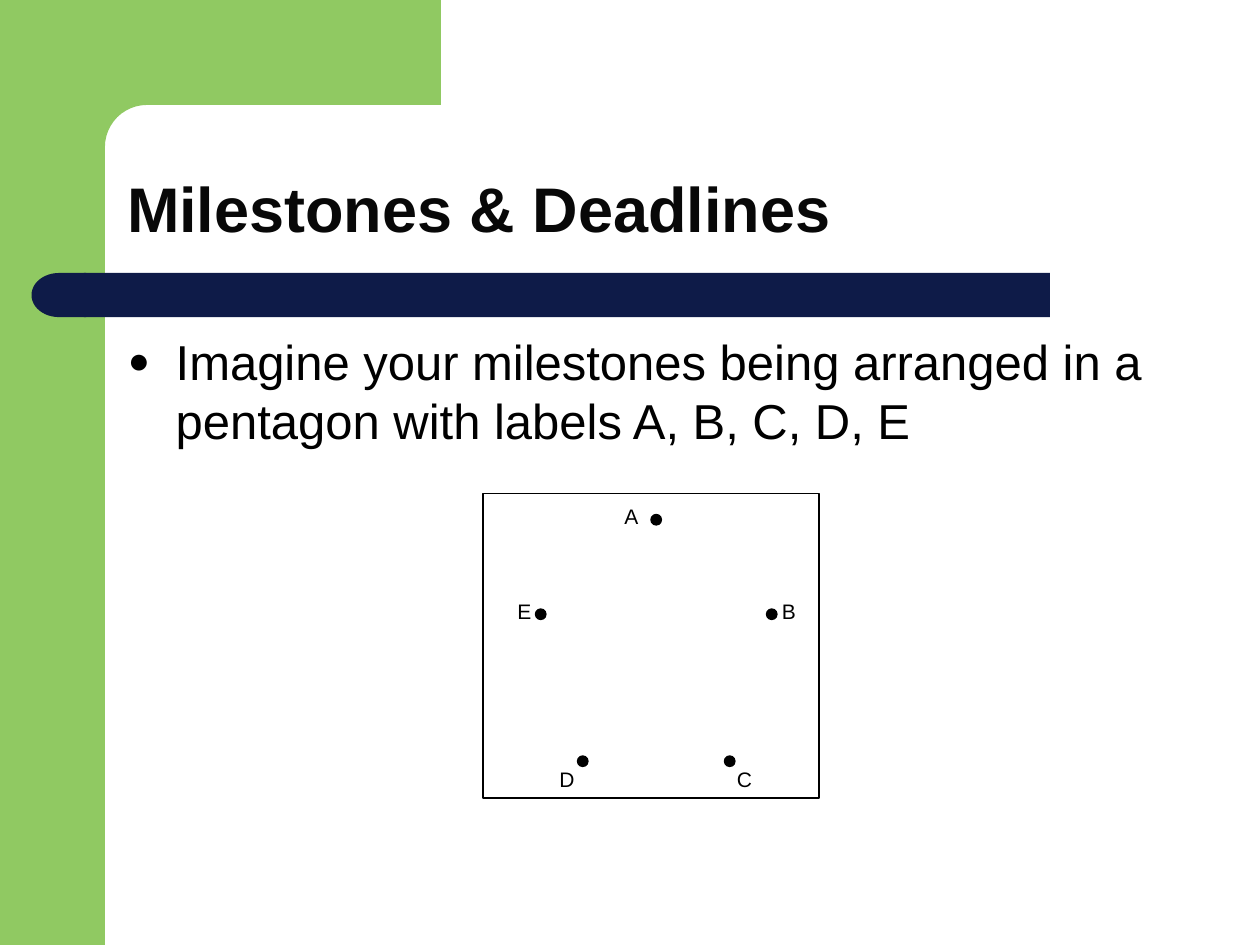
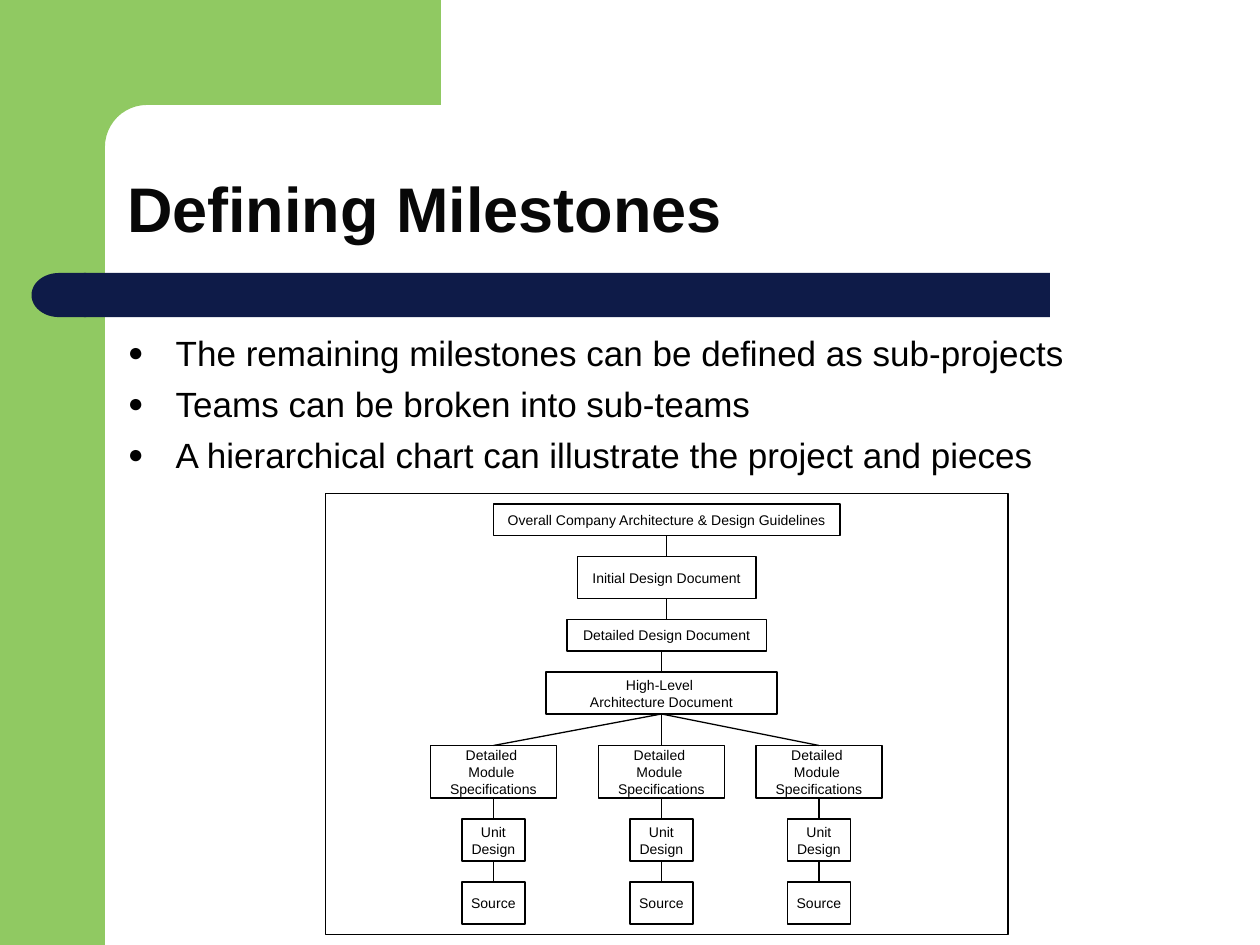
from math import cos, pi, sin

from lxml.etree import SubElement
from pptx import Presentation
from pptx.dml.color import RGBColor
from pptx.enum.shapes import MSO_CONNECTOR, MSO_SHAPE
from pptx.enum.text import MSO_ANCHOR, PP_ALIGN
from pptx.oxml.ns import qn
from pptx.util import Inches, Pt

COLORS = {"green": "90C962", "navy": "0E1B48", "title": "080808", "ink": "000000"}
FONT = "Arial"
COLUMNS, ROWS = 120, 90
TOP, BOTTOM = 0, 2


class Board:
    def __init__(self):
        self.deck = Presentation()
        self.deck.slide_width = Inches(10)
        self.deck.slide_height = Inches(7.5)
        self.slide = None

    def x(self, columns):
        return round(self.deck.slide_width * columns / COLUMNS)

    def y(self, rows):
        return round(self.deck.slide_height * rows / ROWS)

    def area(self, left, top, width, height):
        return self.x(left), self.y(top), self.x(width), self.y(height)

    def color(self, name):
        return RGBColor.from_string(COLORS[name])

    def page(self, title):
        self.slide = self.deck.slides.add_slide(self.deck.slide_layouts[5])
        self.bands()
        holder = self.slide.shapes.title
        holder.left, holder.top, holder.width, holder.height = self.area(10.9, 10.9, 102.1, 13.1)
        frame = holder.text_frame
        frame.word_wrap = True
        frame.vertical_anchor = MSO_ANCHOR.BOTTOM
        para = frame.paragraphs[0]
        para.alignment = PP_ALIGN.LEFT
        para.line_spacing = 0.9
        self.add_text(para, title, 36, "title", bold=True)

    def bands(self):
        self.shape(MSO_SHAPE.RECTANGLE, (0, 0, 10, ROWS), fill="green")
        radius, steps = 4, 12
        angles = [pi / 2 * step / steps for step in range(steps + 1)]
        corner = [(14 - radius * sin(angle), 14 - radius * cos(angle)) for angle in angles]
        outline = [(42, 10), *corner, (10, 15.4), (6, 15.4), (6, 0)]
        builder = self.slide.shapes.build_freeform(self.x(42), 0)
        builder.add_line_segments([(self.x(column), self.y(row)) for column, row in outline])
        self.paint(builder.convert_to_shape(), "green")
        bar = self.shape(MSO_SHAPE.ROUNDED_RECTANGLE, (8, 26, 92, 4.2), fill="navy")
        bar.adjustments[0] = 0
        cap = self.shape(MSO_SHAPE.FLOWCHART_DELAY, (3, 26, 5.2, 4.2), fill="navy")
        cap._element.spPr.find(qn("a:xfrm")).set("flipH", "1")

    def paint(self, shape, fill=None, line=None):
        shape.shadow.inherit = False
        if fill:
            shape.fill.solid()
            shape.fill.fore_color.rgb = self.color(fill)
        else:
            shape.fill.background()
        if line:
            shape.line.color.rgb = self.color(line)
            shape.line.width = Pt(0.75)
        else:
            shape.line.fill.background()

    def shape(self, kind, cells, fill=None, line=None):
        shape = self.slide.shapes.add_shape(kind, *self.area(*cells))
        self.paint(shape, fill, line)
        return shape

    def frame(self, *cells):
        return self.shape(MSO_SHAPE.RECTANGLE, cells, line="ink")

    def add_text(self, para, text, size, color="ink", bold=False):
        for index, line in enumerate(text.split("\n")):
            if index:
                para.add_line_break()
            span = para.add_run()
            span.text = line
            span.font.name = FONT
            span.font.size = Pt(size)
            span.font.bold = bold
            span.font.color.rgb = self.color(color)

    def bullets(self, lines, size, gap, height):
        box = self.slide.shapes.add_textbox(*self.area(11, 31, 101, height))
        frame = box.text_frame
        frame.word_wrap = True
        for index, line in enumerate(lines):
            para = frame.add_paragraph() if index else frame.paragraphs[0]
            para.space_before = Pt(gap if index else 0)
            props = para._p.get_or_add_pPr()
            props.set("marL", str(Inches(0.38)))
            props.set("indent", str(-Inches(0.38)))
            tint = SubElement(props, qn("a:buClr"))
            SubElement(tint, qn("a:srgbClr")).set("val", COLORS["ink"])
            SubElement(props, qn("a:buSzPct")).set("val", "75000")
            SubElement(props, qn("a:buFont")).set("typeface", FONT)
            SubElement(props, qn("a:buChar")).set("char", "●")
            self.add_text(para, line, size)

    def label(self, text, left, top):
        box = self.slide.shapes.add_textbox(*self.area(left, top, 3.8, 3.6))
        box.text_frame.word_wrap = False
        self.add_text(box.text_frame.paragraphs[0], text, 12)

    def dot(self, left, top):
        self.shape(MSO_SHAPE.FLOWCHART_CONNECTOR, (left, top, 1, 1), fill="ink", line="ink")

    def node(self, text, *cells):
        box = self.frame(*cells)
        frame = box.text_frame
        frame.word_wrap = False
        frame.vertical_anchor = MSO_ANCHOR.MIDDLE
        para = frame.paragraphs[0]
        para.alignment = PP_ALIGN.CENTER
        self.add_text(para, text, 8)
        return box

    def link(self, upper, lower, centred=True):
        middle = lower.left + lower.width // 2
        line = self.slide.shapes.add_connector(
            MSO_CONNECTOR.STRAIGHT, middle, upper.top + upper.height, middle, lower.top)
        if centred:
            line.begin_connect(upper, BOTTOM)
        line.end_connect(lower, TOP)
        line.line.color.rgb = self.color("ink")
        line.line.width = Pt(0.75)
        SubElement(line._element.spPr, qn("a:effectLst"))


def pentagon_page(board):
    board.page("Milestones & Deadlines")
    board.bullets(
        ["Imagine your milestones being arranged in a pentagon with labels A, B, C, D, E"],
        size=28, gap=7, height=14)
    board.frame(46, 47, 32, 29)
    milestones = [
        ("A", (62, 49), (58.3, 47.4)),
        ("B", (73, 58), (73.3, 56.4)),
        ("C", (69, 72), (69, 72.4)),
        ("D", (55, 72), (52.1, 72.4)),
        ("E", (51, 58), (48.1, 56.4)),
    ]
    for name, dot, label in milestones:
        board.dot(*dot)
        board.label(name, *label)


def hierarchy_page(board):
    board.page("Defining Milestones")
    board.bullets(
        ["The remaining milestones can be defined as sub-projects",
         "Teams can be broken into sub-teams",
         "A hierarchical chart can illustrate the project and pieces"],
        size=20, gap=5, height=48.8)
    board.frame(31, 47, 65, 42)
    guidelines = board.node("Overall Company Architecture & Design Guidelines", 47, 48, 33, 3)
    initial = board.node("Initial Design Document", 55, 53, 17, 4)
    detailed = board.node("Detailed Design Document", 54, 59, 19, 3)
    architecture = board.node("High-Level \nArchitecture Document", 52, 64, 22, 4)
    board.link(guidelines, initial)
    board.link(initial, detailed)
    board.link(detailed, architecture, centred=False)
    for left in (41, 57, 72):
        module = board.node("Detailed \nModule \nSpecifications", left, 71, 12, 5)
        unit = board.node("Unit\nDesign", left + 3, 78, 6, 4)
        source = board.node("Source", left + 3, 84, 6, 4)
        board.link(architecture, module)
        board.link(module, unit)
        board.link(unit, source)


def main():
    board = Board()
    pentagon_page(board)
    hierarchy_page(board)
    board.deck.save("out.pptx")


if __name__ == "__main__":
    main()
